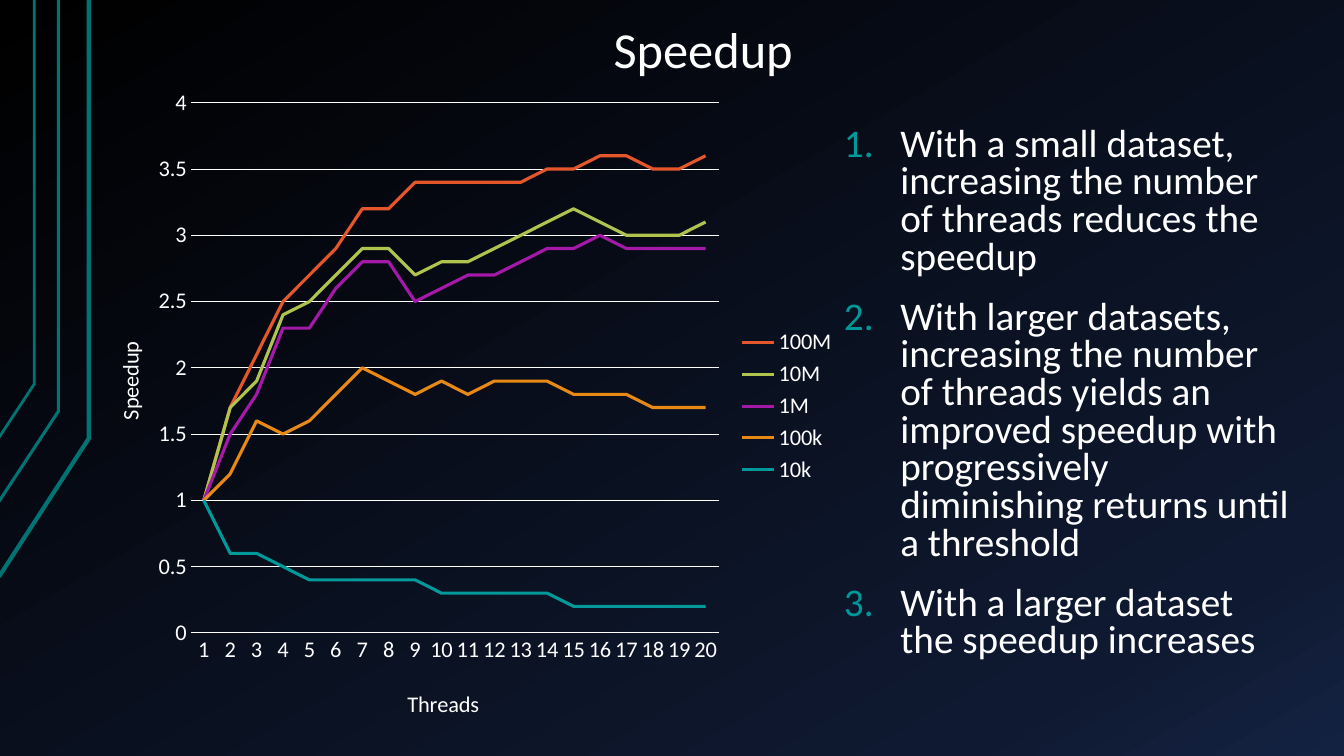
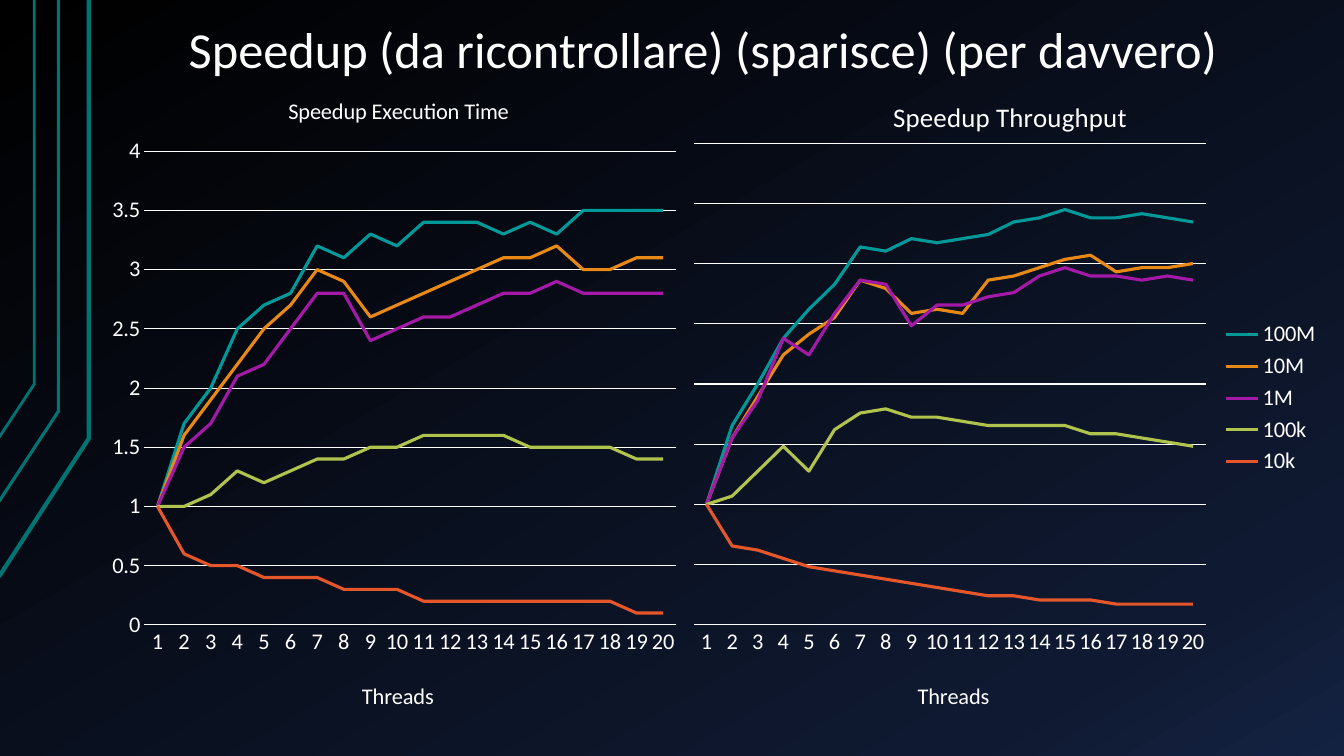
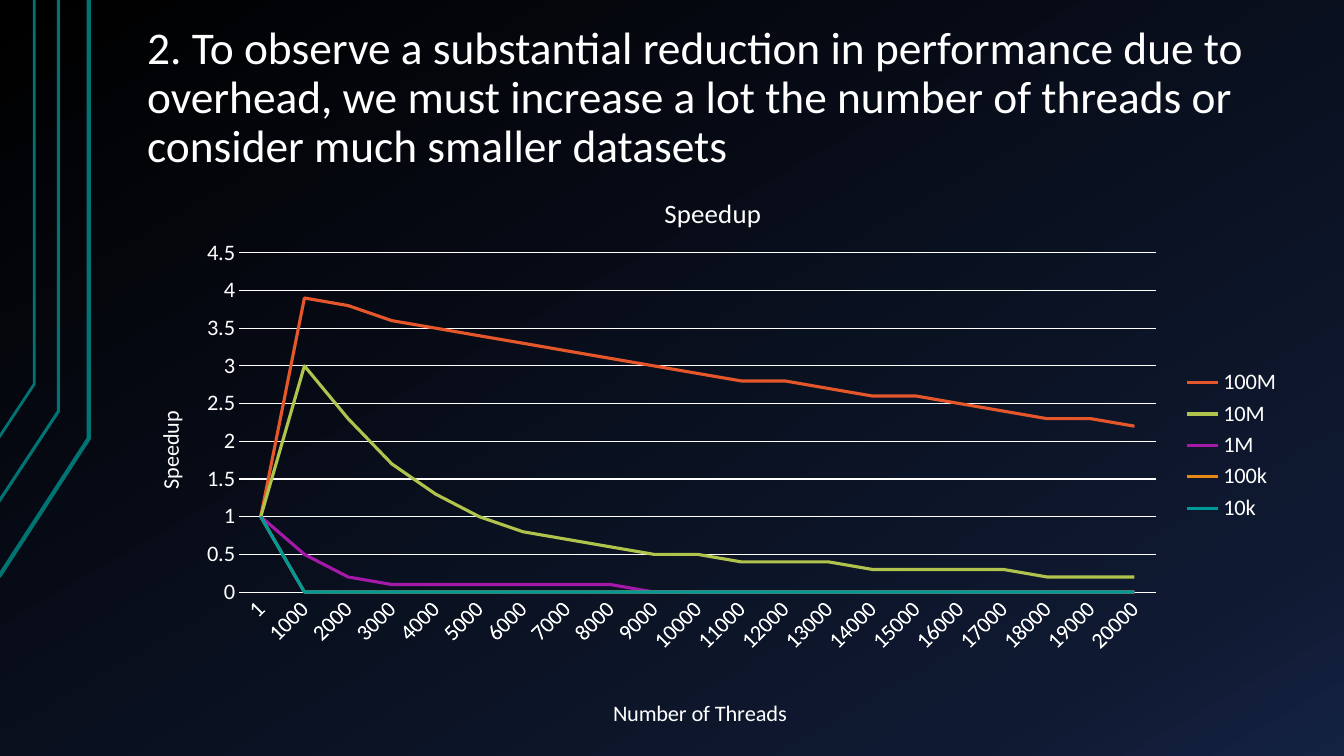
from copy import deepcopy

from lxml import etree
from pptx import Presentation
from pptx.chart.data import CategoryChartData
from pptx.dml.color import RGBColor
from pptx.enum.chart import XL_CHART_TYPE, XL_LEGEND_POSITION, XL_TICK_MARK
from pptx.enum.text import MSO_ANCHOR, PP_ALIGN
from pptx.oxml.ns import qn
from pptx.util import Inches, Pt

LINE_CHART = XL_CHART_TYPE.LINE
LEGEND_RIGHT = XL_LEGEND_POSITION.RIGHT
NO_TICK = XL_TICK_MARK.NONE
BOTTOM, TOP = MSO_ANCHOR.BOTTOM, MSO_ANCHOR.TOP
CENTER, LEFT = PP_ALIGN.CENTER, PP_ALIGN.LEFT

# Shared look
FONT = "Calibri"
COLORS = {
    "text": "FFFFFF", "rail": "007373", "number": "009999",
    "red": "E5572B", "green": "AFC34D", "purple": "A419A7",
    "orange": "E98915", "teal": "009999",
}
BACKDROP = [(0, "000000"), (0.85, "0F1931"), (1, "142242")]
RAILS = [  # line width, points from the left edge up to the top
    (3, [(-0.01, 5.72), (0.88, 4.35), (0.88, 0)]),
    (2.25, [(-0.02, 4.99), (0.58, 4.08), (0.58, 0)]),
    (2, [(-0.01, 4.34), (0.34, 3.81), (0.34, 0)]),
]
WARM_FIRST = ["red", "green", "purple", "orange", "teal"]
COOL_FIRST = ["teal", "orange", "purple", "green", "red"]

# Chart data, one row per dataset size
DATASETS = ["100M", "10M", "1M", "100k", "10k"]
FEW_THREADS = [str(count) for count in range(1, 21)]
MANY_THREADS = ["1"] + [str(count) for count in range(1000, 20001, 1000)]

SPEEDUP = [
    [1, 1.7, 2.1, 2.5, 2.7, 2.9, 3.2, 3.2, 3.4, 3.4,
     3.4, 3.4, 3.4, 3.5, 3.5, 3.6, 3.6, 3.5, 3.5, 3.6],
    [1, 1.7, 1.9, 2.4, 2.5, 2.7, 2.9, 2.9, 2.7, 2.8,
     2.8, 2.9, 3, 3.1, 3.2, 3.1, 3, 3, 3, 3.1],
    [1, 1.5, 1.8, 2.3, 2.3, 2.6, 2.8, 2.8, 2.5, 2.6,
     2.7, 2.7, 2.8, 2.9, 2.9, 3, 2.9, 2.9, 2.9, 2.9],
    [1, 1.2, 1.6, 1.5, 1.6, 1.8, 2, 1.9, 1.8, 1.9,
     1.8, 1.9, 1.9, 1.9, 1.8, 1.8, 1.8, 1.7, 1.7, 1.7],
    [1, 0.6, 0.6, 0.5, 0.4, 0.4, 0.4, 0.4, 0.4, 0.3,
     0.3, 0.3, 0.3, 0.3, 0.2, 0.2, 0.2, 0.2, 0.2, 0.2],
]
EXECUTION_TIME = [
    [1, 1.7, 2, 2.5, 2.7, 2.8, 3.2, 3.1, 3.3, 3.2,
     3.4, 3.4, 3.4, 3.3, 3.4, 3.3, 3.5, 3.5, 3.5, 3.5],
    [1, 1.6, 1.9, 2.2, 2.5, 2.7, 3, 2.9, 2.6, 2.7,
     2.8, 2.9, 3, 3.1, 3.1, 3.2, 3, 3, 3.1, 3.1],
    [1, 1.5, 1.7, 2.1, 2.2, 2.5, 2.8, 2.8, 2.4, 2.5,
     2.6, 2.6, 2.7, 2.8, 2.8, 2.9, 2.8, 2.8, 2.8, 2.8],
    [1, 1, 1.1, 1.3, 1.2, 1.3, 1.4, 1.4, 1.5, 1.5,
     1.6, 1.6, 1.6, 1.6, 1.5, 1.5, 1.5, 1.5, 1.4, 1.4],
    [1, 0.6, 0.5, 0.5, 0.4, 0.4, 0.4, 0.3, 0.3, 0.3,
     0.2, 0.2, 0.2, 0.2, 0.2, 0.2, 0.2, 0.2, 0.1, 0.1],
]
THROUGHPUT = [
    [29, 48, 58, 69, 76, 82, 91, 90, 93, 92,
     93, 94, 97, 98, 100, 98, 98, 99, 98, 97],
    [29, 45, 55, 65, 70, 74, 83, 81, 75, 76,
     75, 83, 84, 86, 88, 89, 85, 86, 86, 87],
    [29, 45, 54, 69, 65, 75, 83, 82, 72, 77,
     77, 79, 80, 84, 86, 84, 84, 83, 84, 83],
    [29, 31, 37, 43, 37, 47, 51, 52, 50, 50,
     49, 48, 48, 48, 48, 46, 46, 45, 44, 43],
    [29, 19, 18, 16, 14, 13, 12, 11, 10, 9,
     8, 7, 7, 6, 6, 6, 5, 5, 5, 5],
]
OVERHEAD = [
    [1, 3.9, 3.8, 3.6, 3.5, 3.4, 3.3, 3.2, 3.1, 3, 2.9,
     2.8, 2.8, 2.7, 2.6, 2.6, 2.5, 2.4, 2.3, 2.3, 2.2],
    [1, 3, 2.3, 1.7, 1.3, 1, 0.8, 0.7, 0.6, 0.5, 0.5,
     0.4, 0.4, 0.4, 0.3, 0.3, 0.3, 0.3, 0.2, 0.2, 0.2],
    [1, 0.5, 0.2] + [0.1] * 6 + [0] * 12,
    [1] + [0] * 20,
    [1] + [0] * 20,
]


def rgb(name):
    return RGBColor.from_string(COLORS[name])


def set_format(target, values):
    for name, value in values.items():
        setattr(target, name, value)


def set_font(font, size):
    set_format(font, {"name": FONT, "size": Pt(size), "bold": False})
    font.color.rgb = rgb("text")


def set_line(line, color, width):
    line.color.rgb = rgb(color)
    line.width = Pt(width)


# Page parts
def paint_backdrop(master):
    fill = master.background.fill
    fill.gradient()
    fill.gradient_angle = 300
    stop_list = master.element.xpath(".//p:bg//a:gsLst")[0]
    stop_list.append(deepcopy(stop_list[0]))
    for stop, (position, color) in zip(fill.gradient_stops, BACKDROP):
        stop.position = position
        stop.color.rgb = RGBColor.from_string(color)


def add_rails(page):
    for width, points in RAILS:
        start, *rest = [(Inches(x), Inches(y)) for x, y in points]
        builder = page.shapes.build_freeform(*start)
        builder.add_line_segments(rest, close=False)
        rail = builder.convert_to_shape()
        rail.shadow.inherit = False
        rail.fill.background()
        set_line(rail.line, "rail", width)


def add_text(page, place, texts, size, para_format, anchor=TOP):
    box = page.shapes.add_textbox(*map(Inches, place))
    frame = box.text_frame
    set_format(frame, {
        "word_wrap": True, "vertical_anchor": anchor,
        "margin_left": Inches(0.13), "margin_right": Inches(0.13),
        "margin_top": Inches(0.07), "margin_bottom": Inches(0.07),
    })
    for index, text in enumerate(texts):
        para = frame.add_paragraph() if index else frame.paragraphs[0]
        set_format(para, para_format)
        span = para.add_run()
        span.text = text
        set_font(span.font, size)
    return frame


def add_title(page, text, place=(1.31, 0.17, 11.33, 0.69), size=36, align=CENTER):
    add_text(page, place, [text], size,
             {"alignment": align, "line_spacing": 0.9}, BOTTOM)


def add_numbered_list(page, place, texts):
    frame = add_text(page, place, texts, 28,
                     {"line_spacing": 0.8, "space_before": Pt(16)})
    for para in frame.paragraphs:
        props = para._p.get_or_add_pPr()
        props.set("marL", str(Inches(0.56)))
        props.set("indent", str(-Inches(0.56)))
        tint = etree.SubElement(props, qn("a:buClr"))
        etree.SubElement(tint, qn("a:srgbClr"), val=COLORS["number"])
        etree.SubElement(props, qn("a:buFont"), typeface="+mj-lt")
        etree.SubElement(props, qn("a:buAutoNum"), type="arabicPeriod")


# Chart parts
def make_layout(place, spot):
    """Turn a spot on the page, in inches, into a layout within the chart."""
    left, top, width, height = place
    values = {"xMode": "edge", "yMode": "edge",
              "x": (spot[0] - left) / width, "y": (spot[1] - top) / height}
    if len(spot) == 4:
        values = {"layoutTarget": "inner", **values,
                  "w": spot[2] / width, "h": spot[3] / height}
    layout = etree.Element(qn("c:layout"))
    manual = etree.SubElement(layout, qn("c:manualLayout"))
    for name, value in values.items():
        etree.SubElement(manual, qn("c:" + name), val=str(value))
    return layout


def drop_layout(element):
    for old in element.findall(qn("c:layout")):
        element.remove(old)


def write_chart_title(title, place, text, spot, size=16, turn=0):
    frame = title.text_frame
    frame.text = text
    set_font(frame.paragraphs[0].runs[0].font, size)
    element = title.element
    element.find(".//" + qn("a:bodyPr")).set("rot", str(turn * 60000))
    drop_layout(element)
    element.find(qn("c:tx")).addnext(make_layout(place, spot))


def add_line_chart(page, place, plot_spot, threads, rows, palette, scale,
                   thread_title, value_title=None, title=None, legend=True,
                   values_shown=True, label_turn=0):
    data = CategoryChartData()
    data.categories = threads
    for name, row in zip(DATASETS, rows):
        data.add_series(name, row)
    chart = page.shapes.add_chart(LINE_CHART, *map(Inches, place), data).chart
    set_font(chart.font, 16)

    # Series
    plot = chart.plots[0]
    plot.vary_by_categories = False
    for series, color in zip(plot.series, palette):
        series.smooth = False
        set_line(series.format.line, color, 2.25)

    # Axes
    thread_axis, value_axis = chart.category_axis, chart.value_axis
    for axis in (thread_axis, value_axis):
        set_format(axis, {"major_tick_mark": NO_TICK, "minor_tick_mark": NO_TICK})
        set_font(axis.tick_labels.font, 16)
    set_line(thread_axis.format.line, "text", 0.75)
    top, step = scale
    set_format(value_axis, {"minimum_scale": 0, "maximum_scale": top,
                            "major_unit": step, "visible": values_shown})
    value_axis.format.line.fill.background()
    set_line(value_axis.major_gridlines.format.line, "text", 0.75)
    labels = chart.element.xpath(".//c:catAx/c:txPr/a:bodyPr")[0]
    labels.set("rot", str(label_turn * 60000))

    # Titles and legend
    write_chart_title(thread_axis.axis_title, place, *thread_title)
    if value_title:
        write_chart_title(value_axis.axis_title, place, *value_title, turn=-90)
    chart.has_title = title is not None
    if title:
        write_chart_title(chart.chart_title, place, *title)
    chart.has_legend = legend
    if legend:
        set_format(chart.legend, {"position": LEGEND_RIGHT, "include_in_layout": False})
        set_font(chart.legend.font, 16)

    # Plot area
    area = chart.element.find(".//" + qn("c:plotArea"))
    drop_layout(area)
    area.insert(0, make_layout(place, plot_spot))


# Slides
def add_page(deck):
    page = deck.slides.add_slide(deck.slide_layouts[6])
    add_rails(page)
    return page


def build_speedup(page):
    add_title(page, "Speedup")
    add_numbered_list(page, (8.24, 1.19, 4.72, 5.86), [
        "With a small dataset, increasing the number of threads reduces the speedup",
        "With larger datasets, increasing the number of threads yields an improved "
        "speedup with progressively diminishing returns until a threshold",
        "With a larger dataset the speedup increases",
    ])
    add_line_chart(page, (0.84, 0.76, 7.56, 6.54), (1.89, 1.02, 5.24, 5.26),
                   FEW_THREADS, SPEEDUP, WARM_FIRST, (4, 0.5),
                   ("Threads", (4, 6.79)), value_title=("Speedup", (1.1, 3.35)))


def build_comparison(page):
    add_title(page, "Speedup (da ricontrollare) (sparisce) (per davvero)")
    add_line_chart(page, (1, 0.68, 5.83, 6.54), (1.43, 1.5, 5.28, 4.7),
                   FEW_THREADS, EXECUTION_TIME, COOL_FIRST, (4, 0.5),
                   ("Threads", (3.55, 6.71)), legend=False,
                   title=("Speedup Execution Time", (2.82, 0.91)))
    add_line_chart(page, (6.74, 0.68, 6.46, 6.54), (6.88, 1.42, 5.08, 4.78),
                   FEW_THREADS, THROUGHPUT, COOL_FIRST, (116, 14.5),
                   ("Threads", (9.06, 6.71)), values_shown=False,
                   title=("Speedup Throughput", (8.81, 0.92), 19.2))


def build_overhead(page):
    add_title(page, "2. To observe a substantial reduction in performance due to "
              "overhead, we must increase a lot the number of threads or consider "
              "much smaller datasets", (1.33, 0.3, 11.33, 1.48), 32.4, LEFT)
    add_line_chart(page, (1.23, 1.62, 11.58, 5.67), (2.37, 2.52, 9.1, 3.41),
                   MANY_THREADS, OVERHEAD, WARM_FIRST, (4.5, 0.5),
                   ("Number of Threads", (6.04, 6.96)),
                   value_title=("Speedup", (1.5, 4.08)),
                   title=("Speedup", (6.54, 1.88), 19.2), label_turn=-45)


def main():
    deck = Presentation()
    deck.slide_width, deck.slide_height = Inches(13.33), Inches(7.5)
    paint_backdrop(deck.slide_master)
    for build in (build_speedup, build_comparison, build_overhead):
        build(add_page(deck))
    deck.save("out.pptx")


if __name__ == "__main__":
    main()
